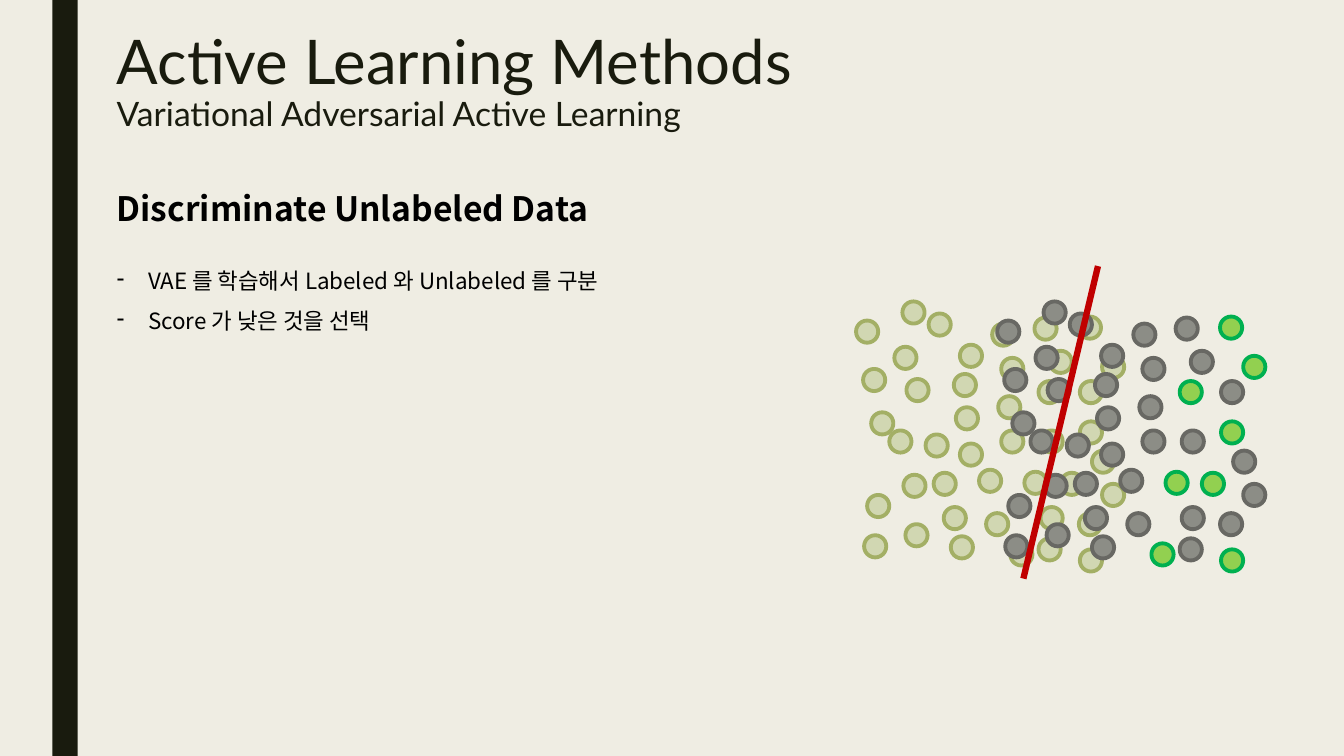
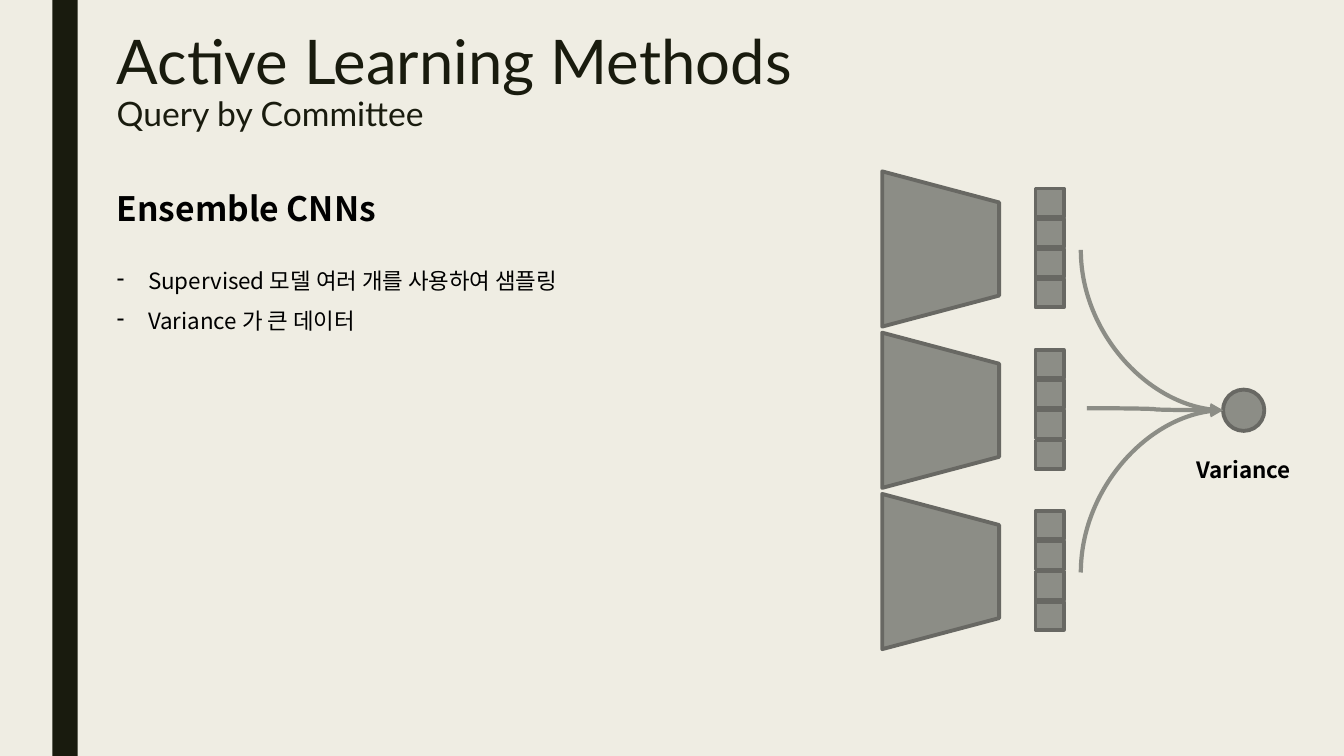
from lxml import etree
from pptx import Presentation
from pptx import util as u
from pptx.dml import color
from pptx.enum import shapes, text
from pptx.oxml import ns

INK, PAPER, BLACK, RED = "191B0E", "EFEDE3", "000000", "C00000"
GREY = {"fill": "8C8D86", "line": "686863"}
OLIVE = {"fill": "D1D7B2", "line": "A3AF65"}
GREEN = {"fill": "92D050", "line": "00B050"}
TITLE_FONT, BODY_FONT = "Lato", "Noto Sans CJK KR"
TITLE = {"name": TITLE_FONT, "size": u.Pt(44)}
SUBTITLE = {"name": TITLE_FONT, "size": u.Pt(24)}
HEADING = {"name": BODY_FONT, "size": u.Pt(24), "bold": True}
BODY = {"name": BODY_FONT, "size": u.Pt(16)}
LABEL = {**BODY, "bold": True}
OUTLINE = u.Pt(2.75)
DOT = 0.22

PLAIN_DOTS = [
    (0, 0.19), (0.11, 1.92), (0.15, 1.1), (0.07, 0.67), (0.5, 0.77), (0.47, 1.72),
    (0.69, 1.32), (1.22, 1.67), (0.77, 1.7), (0.94, 2.33), (1.81, 2.35), (1.83, 1.28),
    (1.44, 0.56), (0.08, 2.32), (1.03, 0.43), (0.33, 1.28), (0.38, 0.45), (0.46, 0),
    (0.72, 0.12), (0.97, 0.72), (2.44, 1.81), (1.35, 0.22), (1.44, 1.28), (0.99, 1.05),
    (1.29, 2.1), (1.92, 0.49), (0.49, 2.21), (1.41, 0.94), (1.83, 2.04), (2.22, 0.79),
    (0.87, 2.04), (1.03, 1.41), (1.77, 0.16), (2.21, 2.1), (2.34, 1.48),
]
PICKED_DOTS = [
    (2.22, 2.46), (1.67, 1.69), (2.22, 1.19), (2.03, 1.7),
    (2.21, 0.15), (1.81, 0.79), (2.44, 0.54), (1.53, 2.4),
]


def rgb(hex_value):
    return color.RGBColor.from_string(hex_value)


def apply(target, values):
    for name, value in values.items():
        setattr(target, name, value)


def inches(*lengths):
    return [u.Inches(length) for length in lengths]


def add_run(paragraph, words, style, ink=BLACK):
    run = paragraph.add_run()
    run.text = words
    run.font.color.rgb = rgb(ink)
    apply(run.font, style)
    east_asian = etree.SubElement(run.font._element, ns.qn("a:ea"))
    east_asian.set("typeface", style["name"])


def text_frame(slide, box):
    frame = slide.shapes.add_textbox(*inches(*box)).text_frame
    apply(frame, {"word_wrap": True, "vertical_anchor": text.MSO_ANCHOR.TOP})
    return frame


def add_block(parent, preset, box, fill, line=None):
    block = parent.add_shape(preset, *inches(*box))
    block.shadow.inherit = False
    block.fill.solid()
    block.fill.fore_color.rgb = rgb(fill)
    if line:
        block.line.color.rgb = rgb(line)
        block.line.width = OUTLINE
    else:
        block.line.fill.background()
    return block


def add_line(slide, kind, start, end, ink, width):
    line = slide.shapes.add_connector(kind, *inches(*start, *end))
    line.line.color.rgb = rgb(ink)
    line.line.width = u.Pt(width)
    etree.SubElement(line._element.spPr, ns.qn("a:effectLst"))
    return line


def add_title(slide, box, subtitle):
    paragraph = text_frame(slide, box).paragraphs[0]
    paragraph.line_spacing = 0.89
    add_run(paragraph, "Active Learning Methods", TITLE, INK)
    paragraph.add_line_break()
    add_run(paragraph, subtitle, SUBTITLE, INK)


def add_points(slide, box, points):
    frame = text_frame(slide, box)
    for index, point in enumerate(points):
        paragraph = frame.add_paragraph() if index else frame.paragraphs[0]
        paragraph.line_spacing = 1.5
        properties = paragraph._p.get_or_add_pPr()
        properties.set("marL", str(u.Inches(0.31)))
        properties.set("indent", str(u.Inches(-0.31)))
        etree.SubElement(properties, ns.qn("a:buChar")).set("char", "-")
        add_run(paragraph, point, BODY)


def add_method_slide(prs, subtitle, heading, points):
    slide = prs.slides.add_slide(prs.slide_layouts[6])
    add_block(slide.shapes, shapes.MSO_SHAPE.RECTANGLE, (0.52, 0, 0.25, 7.5), INK)
    add_title(slide, (1.06, 0.27, 11.16, 1.23), subtitle)
    add_run(text_frame(slide, (1.06, 1.82, 5.7, 0.5)).paragraphs[0], heading, HEADING)
    add_points(slide, (1.06, 2.47, 5.61, 0.86), points)
    return slide


def add_cloud(slide, left, top, plain, picked):
    cloud = slide.shapes.add_group_shape().shapes
    for dots, colours in ((PLAIN_DOTS, plain), (PICKED_DOTS, picked)):
        for x, y in dots:
            add_block(cloud, shapes.MSO_SHAPE.OVAL, (left + x, top + y, DOT, DOT), **colours)


def add_scatter(slide, left, top):
    add_cloud(slide, left, top, OLIVE, OLIVE)
    add_cloud(slide, left + 1.4, top, GREY, GREEN)
    add_line(slide, shapes.MSO_CONNECTOR.STRAIGHT,
             (left + 2.4, top - 0.35), (left + 1.66, top + 2.75), RED, 4.5)


def add_network(slide, left, top):
    length, depth, cell = 1.54, 1.16, 0.28
    network = add_block(
        slide.shapes, shapes.MSO_SHAPE.FLOWCHART_MANUAL_OPERATION,
        (left + (depth - length) / 2, top + (length - depth) / 2, length, depth), **GREY)
    network.rotation = 270
    outputs = slide.shapes.add_group_shape().shapes
    for index in range(4):
        add_block(outputs, shapes.MSO_SHAPE.RECTANGLE,
                  (left + 1.52, top + 0.17 + 0.3 * index, cell, cell), **GREY)


def add_vote(slide, node, output, preset):
    vote = add_line(slide, shapes.MSO_CONNECTOR.CURVE, node, output, GREY["fill"], 3)
    vote._element.spPr.find(ns.qn("a:prstGeom")).set("prst", preset)
    arrow = etree.SubElement(vote.line._get_or_add_ln(), ns.qn("a:headEnd"))
    arrow.set("type", "triangle")


def add_committee(slide, left, top):
    for index in range(3):
        add_network(slide, left, top + 1.6 * index)
    node_x, node_y, size = left + 3.38, top + 2.37, 0.41
    add_block(slide.shapes, shapes.MSO_SHAPE.OVAL,
              (node_x, node_y - size / 2, size, size), **GREY)
    for x, y, preset in ((1.97, -1.59, "curvedConnector2"),
                         (1.97, 1.61, "curvedConnector2"),
                         (2.03, -0.02, "curvedConnector3")):
        add_vote(slide, (node_x, node_y), (left + x, node_y + y), preset)
    label = text_frame(slide, (left + 2.66, top + 2.78, 1.85, 0.37)).paragraphs[0]
    label.alignment = text.PP_ALIGN.CENTER
    add_run(label, "Variance", LABEL)


def main():
    prs = Presentation()
    apply(prs, {"slide_width": u.Inches(13.33), "slide_height": u.Inches(7.5)})
    backdrop = prs.slide_master.background.fill
    backdrop.solid()
    backdrop.fore_color.rgb = rgb(PAPER)
    adversarial = add_method_slide(
        prs, "Variational Adversarial Active Learning", "Discriminate Unlabeled Data",
        ["VAE 를 학습해서 Labeled 와 Unlabeled 를 구분", "Score 가 낮은 것을 선택"])
    add_scatter(adversarial, 8.49, 2.99)
    committee = add_method_slide(
        prs, "Query by Committee", "Ensemble CNNs",
        ["Supervised 모델 여러 개를 사용하여 샘플링", "Variance 가 큰 데이터"])
    add_committee(committee, 8.75, 1.7)
    prs.save("out.pptx")


if __name__ == "__main__":
    main()
